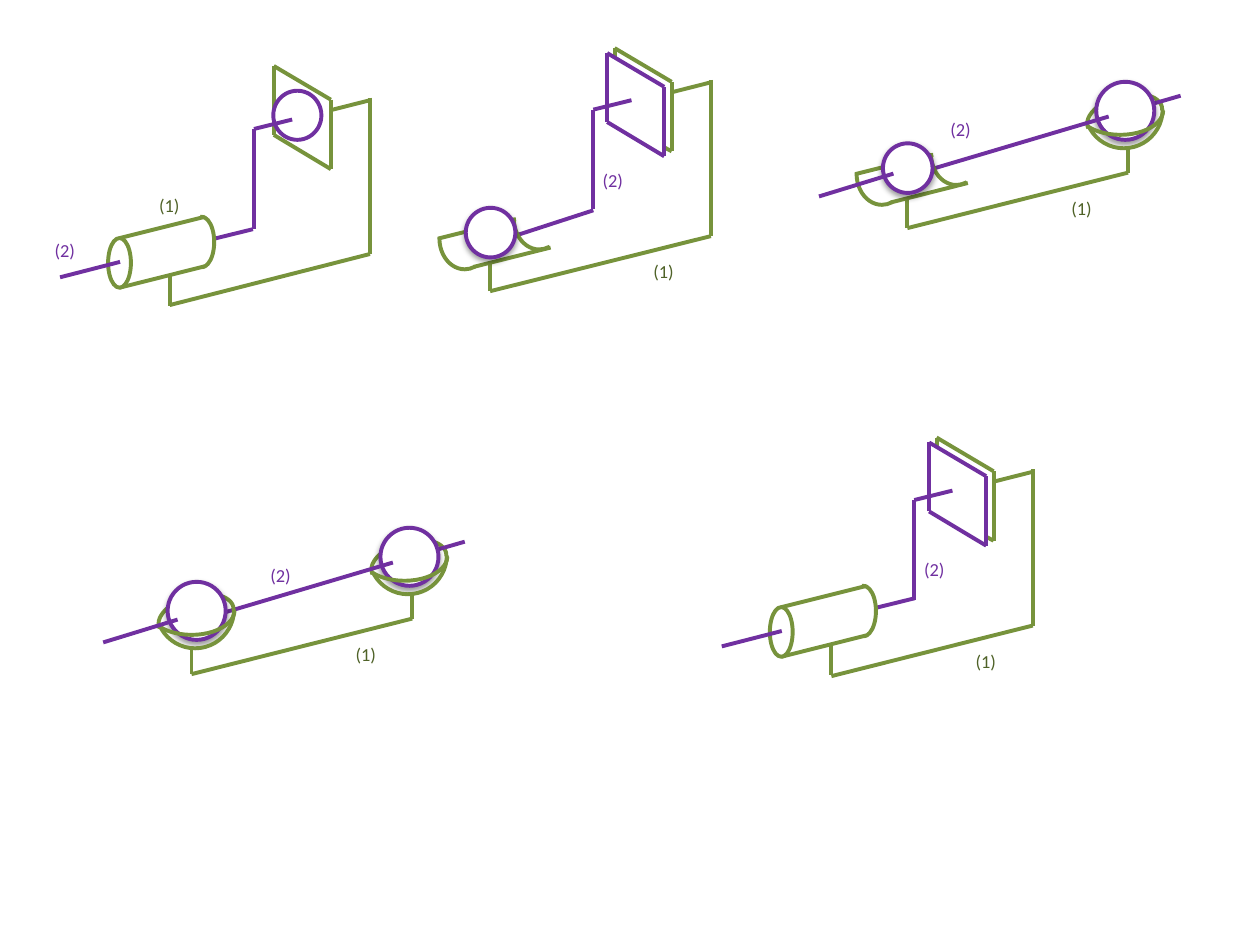
import pptx
import pptx.dml.color
import pptx.enum.shapes
import pptx.enum.text
import pptx.oxml
import pptx.oxml.ns
import pptx.util
from pptx.util import Cm

GREEN = pptx.dml.color.RGBColor(0x77, 0x93, 0x3C)
DARK_GREEN = pptx.dml.color.RGBColor(0x4F, 0x62, 0x28)
PURPLE = pptx.dml.color.RGBColor(0x70, 0x30, 0xA0)
WHITE = pptx.dml.color.RGBColor(0xFF, 0xFF, 0xFF)
OVAL = pptx.enum.shapes.MSO_SHAPE.OVAL
ARC = pptx.enum.shapes.MSO_SHAPE.ARC

SHADOW = (
    f'<a:effectLst {pptx.oxml.ns.nsdecls("a")}>'
    '<a:outerShdw blurRad="40000" dist="20000" dir="5400000" rotWithShape="0">'
    '<a:srgbClr val="000000"><a:alpha val="38000"/></a:srgbClr>'
    '</a:outerShdw></a:effectLst>'
)
NO_EFFECT = f'<a:effectLst {pptx.oxml.ns.nsdecls("a")}/>'

CYLINDER_END = (160.357, 53.32)
TROUGH_END = (41.907, 109.47)
CUP_BACK = (106.158, 3.36)
CUP_FRONT = (0.273, 91.713)


class Sketch:
    font = "Calibri"
    size = pptx.util.Pt(10.5)
    weight = pptx.util.Pt(2.25)

    def __init__(self, page):
        self.page = page
        self.joint = None

    def start_joint(self):
        self.joint = self.page.shapes.add_group_shape().shapes

    def stroke(self, shape, color, effect=NO_EFFECT):
        shape.line.color.rgb = color
        shape.line.width = self.weight
        shape._element.spPr.append(pptx.oxml.parse_xml(effect))

    def path_of_lines(self, color, x, y, *points):
        for begin, end in zip(points, points[1:]):
            line = self.joint.add_connector(
                pptx.enum.shapes.MSO_CONNECTOR.STRAIGHT,
                Cm(x + begin[0]), Cm(y + begin[1]), Cm(x + end[0]), Cm(y + end[1]))
            self.stroke(line, color)

    def ellipse(self, color, x, y, width, height, effect=NO_EFFECT):
        ellipse = self.joint.add_shape(OVAL, Cm(x), Cm(y), Cm(width), Cm(height))
        ellipse.fill.solid()
        ellipse.fill.fore_color.rgb = WHITE
        self.stroke(ellipse, color, effect)

    def arc(self, ends, x, y, width, height, rotation=0):
        arc = self.joint.add_shape(ARC, Cm(x), Cm(y), Cm(width), Cm(height))
        arc.adjustments[0], arc.adjustments[1] = ends
        arc.rotation = rotation
        arc.fill.background()
        self.stroke(arc, GREEN)

    def label(self, text, color, x, y):
        box = self.joint.add_textbox(Cm(x), Cm(y), Cm(0.99), Cm(0.74))
        box.text_frame.word_wrap = False
        box.text_frame.auto_size = pptx.enum.text.MSO_AUTO_SIZE.SHAPE_TO_FIT_TEXT
        para = box.text_frame.paragraphs[0]
        para.alignment = pptx.enum.text.PP_ALIGN.CENTER
        span = para.add_run()
        span.text = text
        span.font.name = self.font
        span.font.size = self.size
        span.font.color.rgb = color

    def labels(self, first, second):
        self.label("(1)", DARK_GREEN, *first)
        self.label("(2)", PURPLE, *second)

    def cylinder(self, x, y):
        self.path_of_lines(GREEN, x, y, (1.95, -0.43), (0.23, 0))
        self.path_of_lines(GREEN, x, y, (1.24, 1.36), (1.24, 0.74))
        self.path_of_lines(GREEN, x, y, (1.94, 0.57), (0.23, 1))
        self.ellipse(GREEN, x, y, 0.46, 1)
        self.path_of_lines(PURPLE, x, y, (0.24, 0.48), (-0.97, 0.79))
        self.path_of_lines(PURPLE, x, y, (2.92, -0.18), (2.15, 0.01))
        self.arc(CYLINDER_END, x + 1.63, y - 0.43, 0.51, 1.02)

    def plate(self, color, x, y):
        self.path_of_lines(color, x, y, (0, 0), (1.15, 0.68), (1.15, 2.08), (0, 1.39), (0, 0))

    def plate_pair(self, x, y):
        self.path_of_lines(GREEN, x, y, (0, 0.18), (0, 0), (1.15, 0.68), (1.15, 2.08), (1, 2))
        self.plate(PURPLE, x - 0.15, y + 0.1)

    def frame(self, x, y, base):
        self.path_of_lines(GREEN, x, y, (1.94, 0.69), (1.15, 0.89))
        self.path_of_lines(GREEN, x, y, (1.94, 0.64), (1.94, 3.79), (base[0] - x, base[1] - y))

    def crank(self, x, y):
        self.path_of_lines(PURPLE, x, y, (0, 0), (-0.77, 0.19), (-0.77, 2.2))

    def trough(self, x, y):
        self.arc(TROUGH_END, x, y, 1.02, 1.24)
        self.path_of_lines(GREEN, x, y, (1.54, 0.23), (-0.03, 0.62))
        self.path_of_lines(GREEN, x, y, (2.24, 0.8), (0.69, 1.19))
        self.arc(TROUGH_END, x + 1.5, y - 0.4, 1.02, 1.24)
        self.ellipse(PURPLE, x + 0.53, y, 1, 1, SHADOW)

    def cup_back(self, x, y):
        self.arc(CUP_BACK, x - 0.2, y + 0.28, 1.55, 0.84, 345)

    def cup_front(self, x, y):
        self.ellipse(PURPLE, x, y, 1.17, 1.17, SHADOW)
        self.arc(CUP_FRONT, x - 0.23, y - 0.23, 1.57, 1.57)
        self.arc(CUP_FRONT, x - 0.38, y + 0.08, 1.73, 0.99)

    def cup(self, x, y):
        self.cup_back(x, y)
        self.cup_front(x, y)

    def rod_joint(self, x, y, support, support_shift, label_shift):
        self.start_joint()
        self.cup_back(x, y)
        self.path_of_lines(PURPLE, x, y, (1.7, 0.28), (0.2, 0.71))
        self.path_of_lines(GREEN, x, y, (0.64, 1.35), (0.64, 1.83), (-3.81, 2.95), (-3.81, 2.39))
        self.labels((x - 0.79, y + 2.21), (x + label_shift, y + 0.61))
        self.cup_front(x, y)
        self.path_of_lines(PURPLE, x, y, (0.25, 0.7), (-3.29, 1.75))
        support(x + support_shift[0], y + support_shift[1])
        self.path_of_lines(PURPLE, x, y, (-4.09, 1.85), (-5.59, 2.31))


def draw_cylinder_and_disc(sketch):
    sketch.start_joint()
    sketch.cylinder(2.18, 4.8)
    sketch.plate(GREEN, 5.52, 1.33)
    sketch.ellipse(PURPLE, 5.51, 1.83, 0.97, 0.99)
    sketch.crank(5.89, 2.41)
    sketch.frame(5.52, 1.33, (3.42, 6.15))
    sketch.labels((2.92, 3.78), (0.81, 4.7))


def draw_trough_and_plates(sketch):
    sketch.start_joint()
    sketch.path_of_lines(GREEN, 9.88, 5.87, (0, 0), (0, -0.56))
    sketch.path_of_lines(PURPLE, 0, 0, (11.96, 4.24), (10.39, 4.75))
    sketch.frame(12.39, 0.97, (9.88, 5.87))
    sketch.plate_pair(12.39, 0.97)
    sketch.crank(12.73, 2.02)
    sketch.trough(8.86, 4.19)
    sketch.labels((12.88, 5.13), (11.86, 3.28))


def draw_cylinder_and_plates(sketch):
    sketch.start_joint()
    sketch.frame(18.88, 8.82, (16.76, 13.63))
    sketch.plate_pair(18.88, 8.82)
    sketch.crank(19.2, 9.89)
    sketch.cylinder(15.52, 12.24)
    sketch.labels((19.38, 12.98), (18.34, 11.13))


def main():
    deck = pptx.Presentation()
    deck.slide_width, deck.slide_height = Cm(25.4), Cm(19.05)
    sketch = Sketch(deck.slides.add_slide(deck.slide_layouts[6]))
    draw_cylinder_and_disc(sketch)
    draw_trough_and_plates(sketch)
    sketch.rod_joint(22.1, 1.65, sketch.trough, (-4.83, 1.24), -3.23)
    sketch.rod_joint(7.67, 10.64, sketch.cup, (-4.29, 1.09), -2.51)
    draw_cylinder_and_plates(sketch)
    deck.save("out.pptx")


if __name__ == "__main__":
    main()
